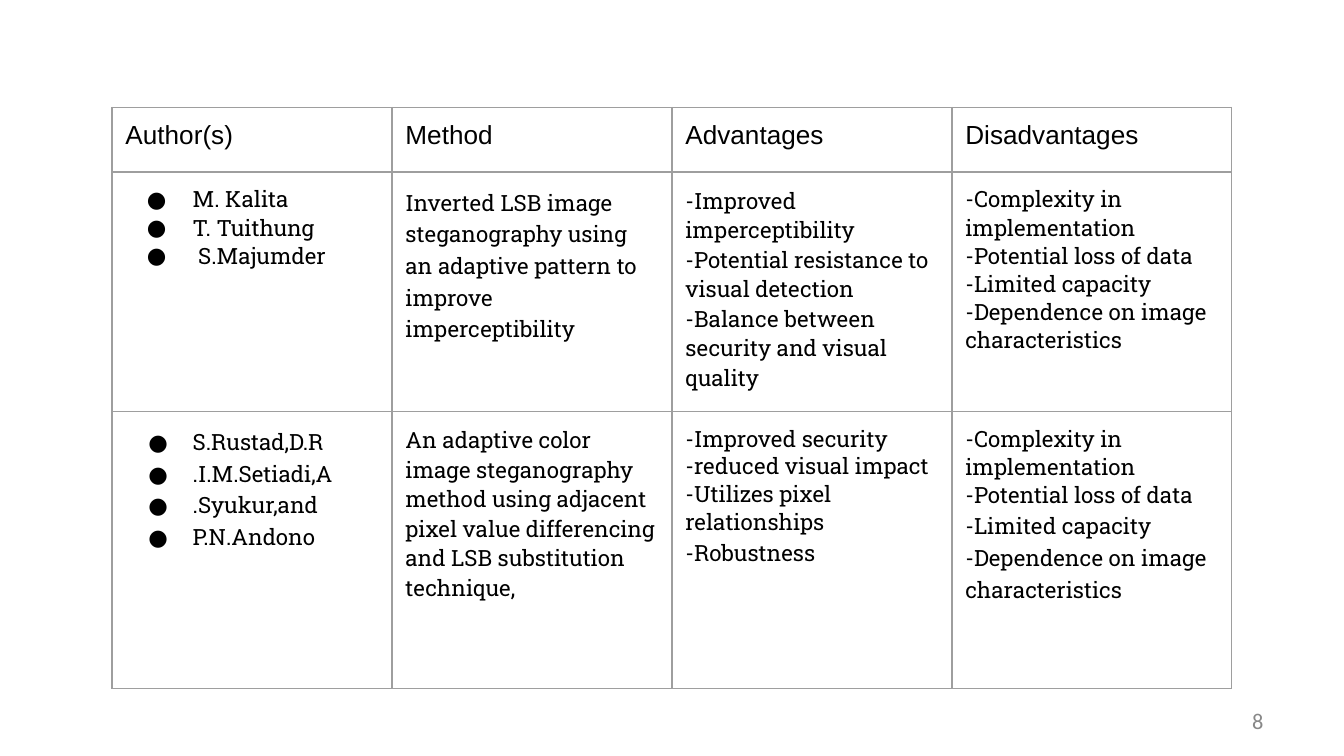
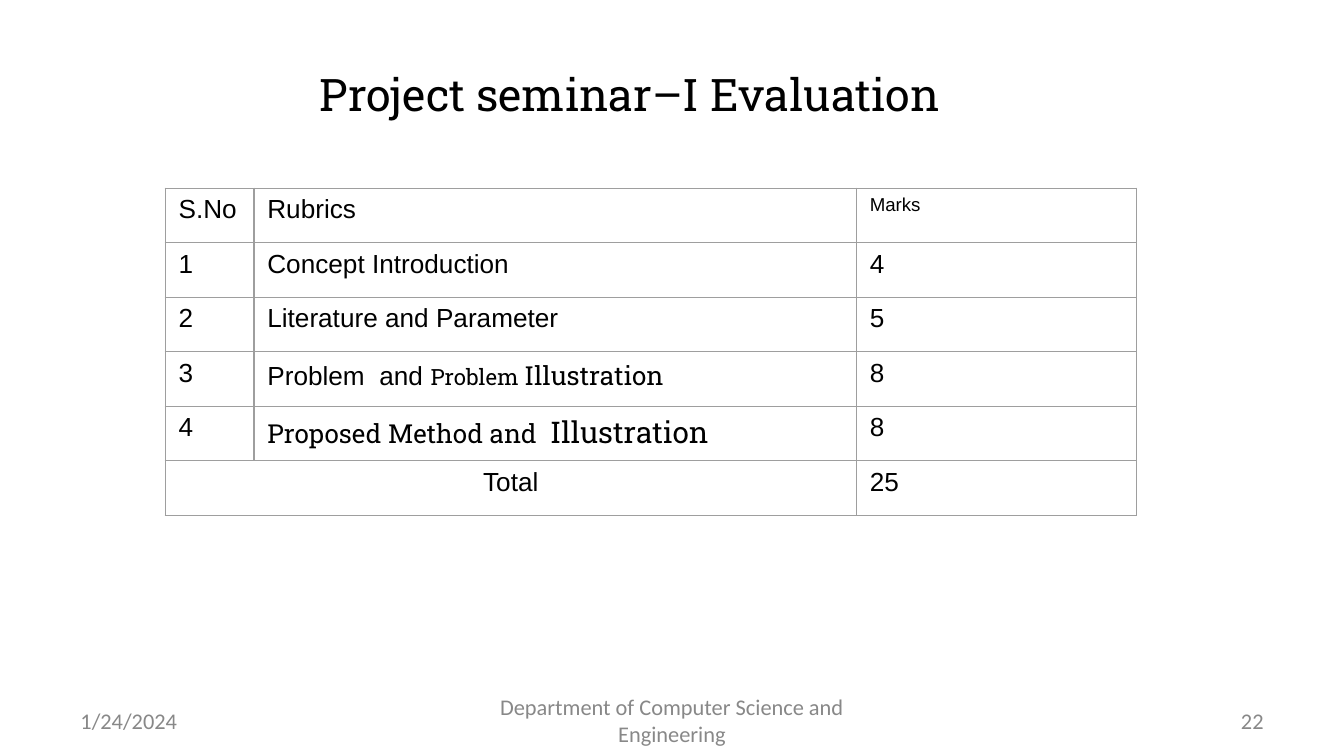
from collections import namedtuple
from dataclasses import dataclass

from lxml import etree
from pptx import Presentation
from pptx import util as u
from pptx.dml import color
from pptx.enum import text as t
from pptx.oxml import ns


@dataclass(frozen=True)
class Theme:
    ink: str = "000000"
    muted: str = "888888"
    rule: str = "9E9E9E"
    sans: str = "Arial"
    slab: str = "Roboto Slab"
    footer: str = "Calibri"
    title_size: int = 24
    large_size: int = 16
    head_size: int = 14
    body_size: int = 12
    small_size: int = 10
    rule_width: float = 0.75


THEME = Theme()
GRID = u.Inches(1) // 12  # the slide is 120 columns by 67.5 rows
COLUMNS, ROWS = 120, 67.5
LEFT, CENTER, RIGHT = t.PP_ALIGN.LEFT, t.PP_ALIGN.CENTER, t.PP_ALIGN.RIGHT

Box = namedtuple("Box", "left top width height")


def span(text, **style):
    return text, style


def emu(box):
    return [u.Emu(round(length * GRID)) for length in box]


# Text

def add_bullet(para, indent):
    props = para._p.get_or_add_pPr()
    props.set("marL", str(u.Inches(0.5)))
    props.set("indent", str(-u.Inches(indent)))
    tint = etree.SubElement(props, ns.qn("a:buClr"))
    etree.SubElement(tint, ns.qn("a:srgbClr"), val=THEME.ink)
    etree.SubElement(props, ns.qn("a:buFont"), typeface=THEME.slab)
    etree.SubElement(props, ns.qn("a:buChar"), char="●")


def write(para, text, font=THEME.sans, size=THEME.head_size, ink=THEME.ink,
          align=LEFT, spacing=None, bullet=None):
    """Fill a paragraph from a string, or from a list of spans."""
    para.alignment = align
    if spacing:
        para.line_spacing = spacing
    if bullet:
        add_bullet(para, bullet)
    for words, style in [span(text)] if isinstance(text, str) else text:
        run = para.add_run()
        run.text = words
        run.font.name = style.get("font", font)
        run.font.size = u.Pt(style.get("size", size))
        run.font.color.rgb = color.RGBColor.from_string(ink)


def add_label(page, box, text, **style):
    frame = page.shapes.add_textbox(*emu(box)).text_frame
    frame.word_wrap = True
    frame.vertical_anchor = t.MSO_ANCHOR.MIDDLE
    write(frame.paragraphs[0], text, **style)


# Tables

def add_borders(cell):
    props = cell._tc.get_or_add_tcPr()
    for place, side in enumerate(("lnL", "lnR", "lnT", "lnB")):
        line = etree.Element(ns.qn("a:" + side), w=str(u.Pt(THEME.rule_width)))
        fill = etree.SubElement(line, ns.qn("a:solidFill"))
        etree.SubElement(fill, ns.qn("a:srgbClr"), val=THEME.rule)
        props.insert(place, line)


def add_grid(page, box, widths, heights, inset):
    """Add an unfilled ruled table; widths and heights share out the box."""
    left, top, width, height = emu(box)
    table = page.shapes.add_table(len(heights), len(widths),
                                  left, top, width, height).table
    table.first_row = table.horz_banding = False
    for column, share in zip(table.columns, widths):
        column.width = u.Emu(round(width * share / sum(widths)))
    for row, share in zip(table.rows, heights):
        row.height = u.Emu(round(height * share / sum(heights)))
    for cell in table.iter_cells():
        cell.fill.background()
        add_borders(cell)
        cell.margin_left = cell.margin_right = u.Inches(0.1)
        cell.margin_top = cell.margin_bottom = u.Inches(inset)
    return table


def fill_cell(cell, lines, spacings=None, **style):
    """Write one paragraph per line, each with its own line spacing."""
    frame = cell.text_frame
    for index, line in enumerate(lines):
        para = frame.add_paragraph() if index else frame.paragraphs[0]
        write(para, line, spacing=spacings and spacings[index], **style)


# Content

SURVEY_HEADS = ["Author(s)", "Method", "Advantages", "Disadvantages"]
LOSSES = ["-Complexity in implementation -Potential loss of data",
          "-Limited capacity -Dependence on image characteristics"]

# Each cell: lines, their line spacings, bullet indent
SURVEY = [
    [(["M. Kalita", "T. Tuithung", " S.Majumder"], [0.95] * 3, 0.34),
     (["Inverted LSB image steganography using an adaptive pattern "
       "to improve imperceptibility"], [1.07], None),
     (["-Improved imperceptibility -Potential resistance to visual detection",
       "-Balance between security and visual quality"], None, None),
     (LOSSES, [0.95, 0.95], None)],
    [(["S.Rustad,D.R", ".I.M.Setiadi,A", ".Syukur,and", "P.N.Andono"],
      [1.07] * 4, 0.33),
     (["An adaptive color image steganography method using adjacent pixel "
       "value differencing and LSB substitution technique,"], None, None),
     (["-Improved security", "-reduced visual impact",
       "-Utilizes pixel relationships", "-Robustness"],
      [0.94, 0.94, 0.94, 1.07], None),
     (LOSSES, [0.95, 1.07], None)],
]

RUBRICS = [
    ("S.No", "Rubrics", [span("Marks", size=THEME.small_size)]),
    ("1", "Concept Introduction", "4"),
    ("2", "Literature and Parameter", "5"),
    ("3", [span("Problem  and "),
           span("Problem ", font=THEME.slab, size=THEME.body_size),
           span("Illustration", font=THEME.slab)], "8"),
    ("4", [span("Proposed Method and  ", font=THEME.slab),
           span("Illustration", font=THEME.slab, size=THEME.large_size)], "8"),
    ("Total", None, "25"),
]


# Regions

def add_footer(page, box, number, date=None, department=None):
    slots = [(date, 0, 28, LEFT), (department, 35, 38, CENTER),
             (number, 80, 28, RIGHT)]
    for text, offset, width, align in slots:
        if text:
            add_label(page, Box(box.left + offset, box.top, width, box.height),
                      text, font=THEME.footer, size=THEME.body_size,
                      ink=THEME.muted, align=align)


def add_survey(page, box):
    table = add_grid(page, box, [1] * 4, [0.48, 1.78, 2.06], inset=0.1)
    for column, head in enumerate(SURVEY_HEADS):
        fill_cell(table.cell(0, column), [head])
    for row, entries in enumerate(SURVEY, start=1):
        for column, (lines, spacings, bullet) in enumerate(entries):
            fill_cell(table.cell(row, column), lines, spacings,
                      font=THEME.slab, size=THEME.body_size, bullet=bullet)


def add_rubrics(page, box):
    table = add_grid(page, box, [0.66, 4.48, 2.08], [1] * len(RUBRICS),
                     inset=0.05)
    last = len(RUBRICS) - 1
    table.cell(last, 0).merge(table.cell(last, 1))
    for row, entries in enumerate(RUBRICS):
        for column, text in enumerate(entries):
            if text:
                merged = table.cell(row, column).is_merge_origin
                fill_cell(table.cell(row, column), [text],
                          align=CENTER if merged else LEFT)


# Slides

FOOTER = Box(6, 62.5, 108, 3.6)


def add_survey_page(page):
    add_survey(page, Box(10, 9.6, 100, 51.9))
    add_footer(page, FOOTER, "8")


def add_evaluation_page(page):
    add_label(page, Box(16.1, 4.2, 80.3, 8.3), "Project seminar–I Evaluation",
              font=THEME.slab, size=THEME.title_size, align=CENTER)
    add_rubrics(page, Box(14.75, 16.8, 86.7, 29.2))
    add_footer(page, FOOTER, "22", "1/24/2024",
               "Department of Computer Science and Engineering")


def main():
    deck = Presentation()
    deck.slide_width = u.Emu(COLUMNS * GRID)
    deck.slide_height = u.Emu(round(ROWS * GRID))
    for build in (add_survey_page, add_evaluation_page):
        build(deck.slides.add_slide(deck.slide_layouts[6]))
    deck.save("out.pptx")


if __name__ == "__main__":
    main()
